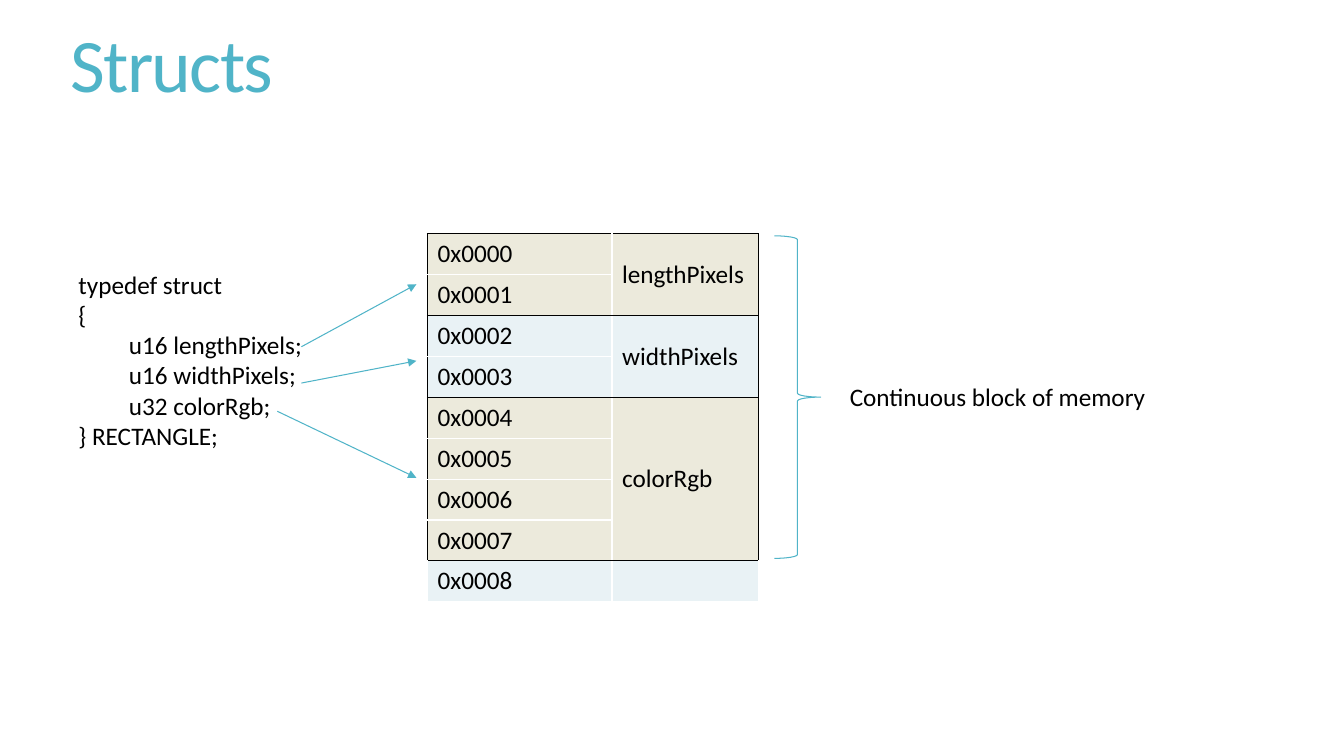
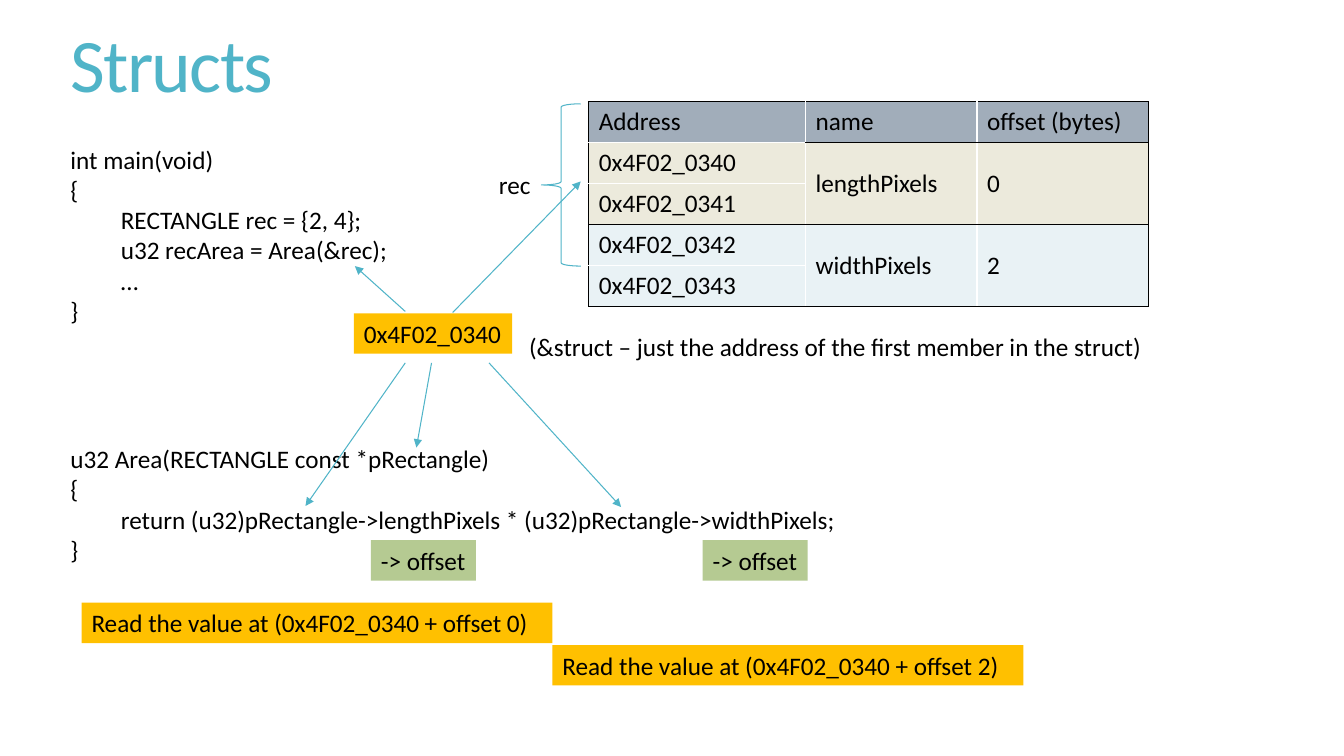
from lxml import etree
from pptx import Presentation
from pptx import util as u
from pptx.dml import color
from pptx.enum import shapes, text
from pptx.oxml import ns

# Shared look
FONT = "Calibri"
TEAL = color.RGBColor(0x50, 0xB4, 0xC8)
INK = color.RGBColor(0x00, 0x00, 0x00)
WHITE = color.RGBColor(0xFF, 0xFF, 0xFF)
SAND = color.RGBColor(0xEC, 0xEA, 0xDC)
ICE = color.RGBColor(0xE9, 0xF2, 0xF5)
SLATE = color.RGBColor(0xA1, 0xAD, 0xBA)
AMBER = color.RGBColor(0xFF, 0xC0, 0x00)
GREEN = color.RGBColor(0xB5, 0xCA, 0x92)
BODY_SIZE = u.Pt(18)
LINE_WIDTH = u.Pt(0.75)
INDENT = u.Inches(0.5)
LABEL_HEIGHT = 0.4


def inches(*lengths):
    return [u.Inches(length) for length in lengths]


def style_span(span, size=BODY_SIZE, ink=INK):
    span.font.name = FONT
    span.font.size = size
    span.font.color.rgb = ink


def add_title(page, words):
    box = page.shapes.add_textbox(*inches(0.6, 0, 11.78, 1.38))
    frame = box.text_frame
    frame.word_wrap = True
    frame.vertical_anchor = text.MSO_ANCHOR.MIDDLE
    frame.text = words
    para = frame.paragraphs[0]
    para.line_spacing = 0.85
    span = para.runs[0]
    style_span(span, u.Pt(54), TEAL)
    span.font._element.set("spc", "-120")


def add_text(page, left, top, width, lines, height=LABEL_HEIGHT, fill=None):
    """Place lines of text; a leading tab marks an indented line."""
    box = page.shapes.add_textbox(*inches(left, top, width, height))
    if fill is not None:
        box.fill.solid()
        box.fill.fore_color.rgb = fill
    frame = box.text_frame
    frame.word_wrap = True
    frame.margin_right = 0
    for index, line in enumerate(lines):
        para = frame.add_paragraph() if index else frame.paragraphs[0]
        para.text = line.lstrip("\t")
        if line.startswith("\t"):
            properties = para._p.get_or_add_pPr()
            properties.set("marL", str(INDENT))
            properties.set("indent", "0")
        style_span(para.runs[0])


def add_arrow(page, start, end):
    arrow = page.shapes.add_connector(
        shapes.MSO_CONNECTOR.STRAIGHT, *inches(*start, *end))
    arrow.line.color.rgb = TEAL
    arrow.line.width = LINE_WIDTH
    etree.SubElement(arrow.line._get_or_add_ln(), ns.qn("a:tailEnd"), type="triangle")
    etree.SubElement(arrow._element.spPr, ns.qn("a:effectLst"))


def add_brace(page, kind, left, top, width, height):
    brace = page.shapes.add_shape(kind, *inches(left, top, width, height))
    brace.shadow.inherit = False
    brace.fill.background()
    brace.line.color.rgb = TEAL
    brace.line.width = LINE_WIDTH


def fill_cell(cell, words, fill, edges):
    """Edges are the colours of the left, right, top and bottom borders."""
    properties = cell._tc.get_or_add_tcPr()
    for side, edge in zip("LRTB", edges):
        border = etree.SubElement(properties, ns.qn(f"a:ln{side}"), w=str(u.Pt(1)))
        solid = etree.SubElement(border, ns.qn("a:solidFill"))
        etree.SubElement(solid, ns.qn("a:srgbClr"), val=str(edge))
    cell.fill.solid()
    cell.fill.fore_color.rgb = fill
    cell.vertical_anchor = text.MSO_ANCHOR.MIDDLE
    cell.text = words
    para = cell.text_frame.paragraphs[0]
    para.font.size = BODY_SIZE
    for span in para.runs:
        style_span(span)


def add_memory_table(page, left, top, height, widths, blocks, header=()):
    """Blocks are (addresses, merged labels, fill, framed)."""
    row_count = sum(len(block[0]) for block in blocks) + bool(header)
    last = len(widths) - 1
    table = page.shapes.add_table(
        row_count, len(widths), *inches(left, top, sum(widths), height)).table
    table.first_row = table.horz_banding = False
    for column, width in zip(table.columns, widths):
        column.width = u.Inches(width)
    for row in table.rows:
        row.height = u.Inches(height / row_count)

    # Header row
    for col, words in enumerate(header):
        edges = (WHITE if col else INK, INK if col == last else WHITE,
                 INK, INK if col else WHITE)
        fill_cell(table.cell(0, col), words, SLATE, edges)

    # Address blocks, with the labels merged beside them
    start = 1 if header else 0
    for addresses, labels, fill, framed in blocks:
        end = start + len(addresses) - 1
        frame = INK if framed else WHITE
        for row, address in enumerate(addresses, start):
            first = row == start
            under_header = bool(header) and row == 1
            fill_cell(table.cell(row, 0), address, fill,
                      (frame, WHITE,
                       INK if first and not under_header else WHITE,
                       frame if row == end else WHITE))
            for col, label in enumerate(labels, 1):
                fill_cell(table.cell(row, col), label if first else "", fill,
                          (WHITE, frame if col == last else WHITE,
                           INK if first else WHITE,
                           frame if first or row == end else WHITE))
        if end > start:
            for col in range(1, last + 1):
                table.cell(start, col).merge(table.cell(end, col))
        start = end + 1


def build_layout_page(page):
    add_title(page, "Structs")

    # Type definition
    add_text(page, 0.68, 2.62, 2.42, [
        "typedef struct", "{", "\tu16 lengthPixels;", "\tu16 widthPixels;",
        "\tu32 colorRgb;", "} RECTANGLE;"], height=1.92)

    # Memory map
    address = [f"0x{number:04X}" for number in range(9)]
    add_memory_table(page, 4.24, 2.32, 3.65, [1.83, 1.45], [
        (address[:2], ["lengthPixels"], SAND, True),
        (address[2:4], ["widthPixels"], ICE, True),
        (address[4:8], ["colorRgb"], SAND, True),
        (address[8:], [""], ICE, False)])
    for start, end in [((2.99, 3.44), (4.13, 2.82)),
                       ((2.99, 3.8), (4.13, 3.58)),
                       ((2.75, 4.08), (4.13, 4.74))]:
        add_arrow(page, start, end)

    # Extent of the struct
    add_brace(page, shapes.MSO_SHAPE.RIGHT_BRACE, 7.68, 2.34, 0.46, 3.2)
    add_text(page, 8.33, 3.73, 3.13, ["Continuous block of memory"])


def build_pointer_page(page):
    add_title(page, "Structs")

    # Memory map
    address = [f"0x4F02_{number:04X}" for number in range(0x340, 0x344)]
    add_memory_table(page, 5.84, 1.01, 2.03, [2.15, 1.7, 1.7], [
        (address[:2], ["lengthPixels", "0"], SAND, True),
        (address[2:], ["widthPixels", "2"], ICE, True)],
        header=["Address", "name", "offset (bytes)"])
    add_brace(page, shapes.MSO_SHAPE.LEFT_BRACE, 5.37, 1.03, 0.39, 1.61)
    add_text(page, 4.85, 1.63, 0.52, ["rec"])
    add_text(page, 5.15, 3.24, 6.57, [
        "(&struct – just the address of the first member in the struct)"])

    # Code
    add_text(page, 0.6, 4.35, 7.78, [
        "u32 Area(RECTANGLE const *pRectangle)", "{",
        "\treturn (u32)pRectangle->lengthPixels * (u32)pRectangle->widthPixels;",
        "}"], height=1.62)
    add_text(page, 0.6, 1.38, 3.35, [
        "int main(void)", "{", "\tRECTANGLE rec = {2, 4};",
        "\tu32 recArea = Area(&rec);", "\t…", "}"], height=1.92)

    # Address and the places it is used
    add_text(page, 3.51, 3.11, 1.57, [address[0]], fill=AMBER)
    for start, end in [((4.02, 3.09), (3.52, 2.64)),
                       ((4.28, 3.6), (4.13, 4.44)),
                       ((4.02, 3.6), (3.03, 5.02)),
                       ((4.85, 3.6), (6.16, 5.03)),
                       ((4.49, 3.1), (5.76, 1.8))]:
        add_arrow(page, start, end)

    # Member access
    for offset, tag_left, left, top in [(0, 3.68, 0.81, 5.98),
                                        (2, 6.97, 5.48, 6.4)]:
        add_text(page, tag_left, 5.36, 1.04, ["-> offset"], fill=GREEN)
        add_text(page, left, top, 4.67, [
            f"Read the value at ({address[0]} + offset {offset})"], fill=AMBER)


def main():
    deck = Presentation()
    deck.slide_width, deck.slide_height = inches(13.33, 7.5)
    blank = deck.slide_layouts[6]
    for build in (build_layout_page, build_pointer_page):
        build(deck.slides.add_slide(blank))
    deck.save("out.pptx")


if __name__ == "__main__":
    main()
